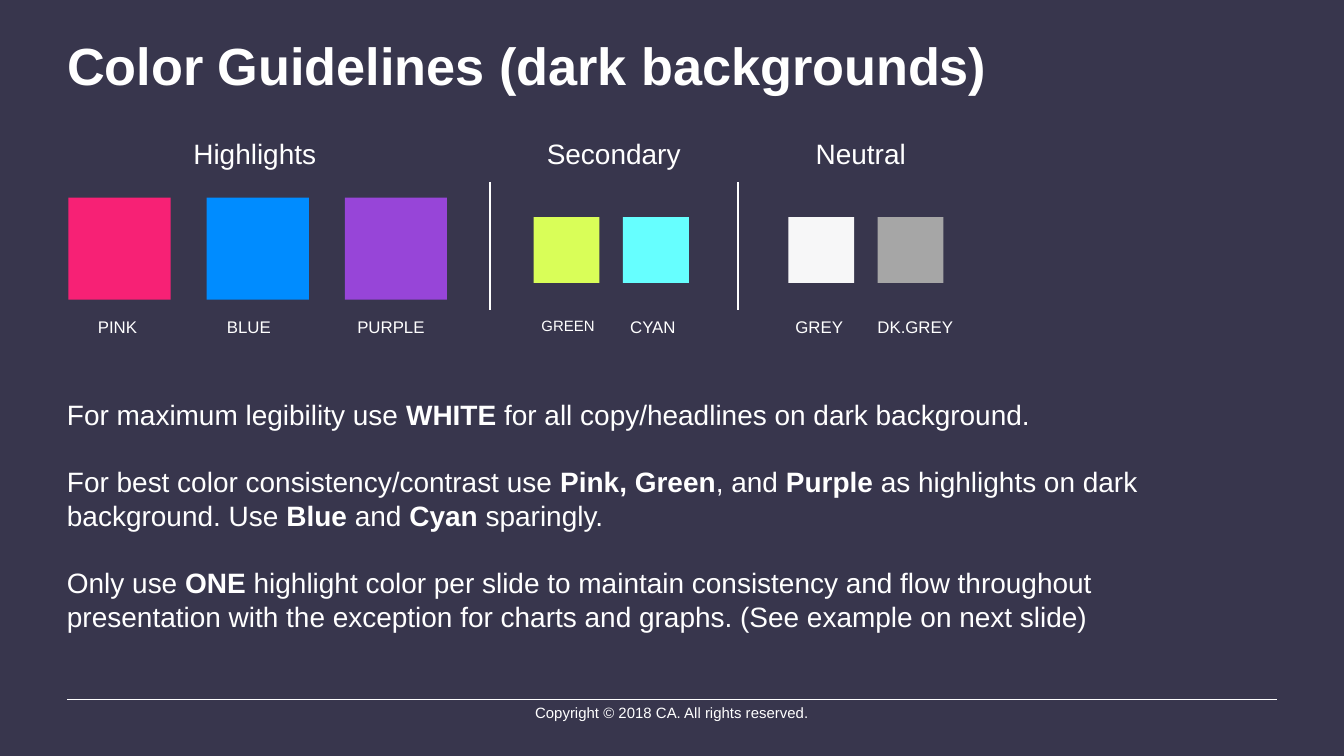
import pptx
import pptx.dml.color
import pptx.enum.shapes
import pptx.enum.text
import pptx.oxml.ns
import pptx.util
from lxml import etree

# Content
TITLE = "Color Guidelines (dark backgrounds)"
FOOT = "Copyright © 2018 CA. All rights reserved."

# Each swatch: label, colour, label column, label width, label size
GROUPS = [
    {"head": "Highlights", "at": (13.4, 12.4), "left": 5.1, "step": 10.28,
     "size": 7.6, "mid": 18.5,
     "items": [("PINK", "pink", 6.3, 5.1, 9), ("BLUE", "blue", 15.9, 6.3, 9),
               ("PURPLE", "purple", 25.6, 8.1, 9)]},
    {"head": "Secondary", "at": (39.7, 15.1), "left": 39.7, "step": 6.65,
     "size": 4.9, "mid": 18.6,
     "items": [("GREEN", "green", 39.3, 6.1, 8), ("CYAN", "cyan", 45.9, 6.1, 9)]},
    {"head": "Neutral", "at": (59.7, 15.1), "left": 58.65, "step": 6.65,
     "size": 4.9, "mid": 18.6,
     "items": [("GREY", "grey", 58.2, 6.1, 9), ("DK.GREY", "dark", 64.3, 7.8, 9)]},
]

# Every second run is bold
BODY = [
    ["For maximum legibility use ", "WHITE",
     " for all copy/headlines on dark background."],
    ["For best color consistency/contrast use ", "Pink, Green", ", and ", "Purple",
     " as highlights on dark background. Use ", "Blue", " and ", "Cyan ", "sparingly."],
    ["Only use ", "ONE",
     " highlight color per slide to maintain consistency and flow throughout "
     "presentation with the exception for charts and graphs. "
     "(See example on next slide)"],
]

HEX = {"back": "38364D", "white": "FFFFFF", "pink": "F72175", "blue": "008CFF",
       "purple": "9745D8", "green": "D9FE58", "cyan": "66FFFF",
       "grey": "F7F7F8", "dark": "A6A6A6"}

# A 16:9 slide, in square cells of a hundredth of its width
WIDE = pptx.util.Inches(10)
HIGH = WIDE * 9 // 16
CELL = WIDE / 100
NAMES, HEADS = 23.1, 9.7
RULES = [36.45, 54.9]
Pt = pptx.util.Pt
ALIGN = pptx.enum.text.PP_ALIGN


def span(*cells):
    return [round(c * CELL) for c in cells]


def tint(name):
    return pptx.dml.color.RGBColor.from_string(HEX[name])


def put(item, form):
    for key, val in form.items():
        setattr(item, key, val)


def text(box, paras, size, bold=False, frame=None, para=None, gap=0):
    area = slide.shapes.add_textbox(*span(*box)).text_frame
    put(area, {"word_wrap": True, **(frame or {})})
    for row, runs in enumerate(paras):
        line = area.paragraphs[0] if row == 0 else area.add_paragraph()
        put(line, para or {})
        if row and gap:
            line.space_before = Pt(gap)
        for num, words in enumerate(runs):
            run = line.add_run()
            run.text = words
            put(run.font, {"name": "Arial", "size": Pt(size),
                           "bold": bold or num % 2 == 1})
            run.font.color.rgb = tint("white")


def rule(start, end, width):
    line = slide.shapes.add_connector(
        pptx.enum.shapes.MSO_CONNECTOR.STRAIGHT, *span(*start, *end))
    line.line.color.rgb = tint("white")
    line.line.width = Pt(width)
    etree.SubElement(line._element.spPr, pptx.oxml.ns.qn("a:effectLst"))


def swatch(left, mid, size, name):
    box = slide.shapes.add_shape(
        pptx.enum.shapes.MSO_SHAPE.RECTANGLE,
        *span(left, mid - size / 2, size, size))
    box.shadow.inherit = False
    box.fill.solid()
    box.fill.fore_color.rgb = tint(name)
    box.line.fill.background()


# Slide
deck = pptx.Presentation()
put(deck, {"slide_width": WIDE, "slide_height": HIGH})
slide = deck.slides.add_slide(deck.slide_layouts[6])
slide.background.fill.solid()
slide.background.fill.fore_color.rgb = tint("back")

# Title
text((5, 2.5, 90, 9.6), [[TITLE]], 28, bold=True,
     frame={"margin_left": 0}, para={"line_spacing": 0.9})

# Swatch groups
for group in GROUPS:
    left, wide = group["at"]
    text((left, HEADS, wide, 3.5), [[group["head"]]], 15)
    for num, (label, name, col, room, size) in enumerate(group["items"]):
        swatch(group["left"] + num * group["step"], group["mid"],
               group["size"], name)
        text((col, NAMES, room, 2.5), [[label]], size)

# Dividers
for col in RULES:
    rule((col, 13.55), (col, 23.1), 1)

# Advice, one line apart
text((4, 29.1, 86, 23.7), BODY, 15, gap=18)

# Footer
rule((5, 52), (95, 52), 0.25)
edge = {"margin_" + side: pptx.util.Inches(0.04)
        for side in ("left", "top", "right", "bottom")}
text((38.95, 51.95, 22.1, 2.2), [[FOOT]], 8,
     frame={**edge, "word_wrap": False}, para={"alignment": ALIGN.CENTER})

deck.save("out.pptx")
